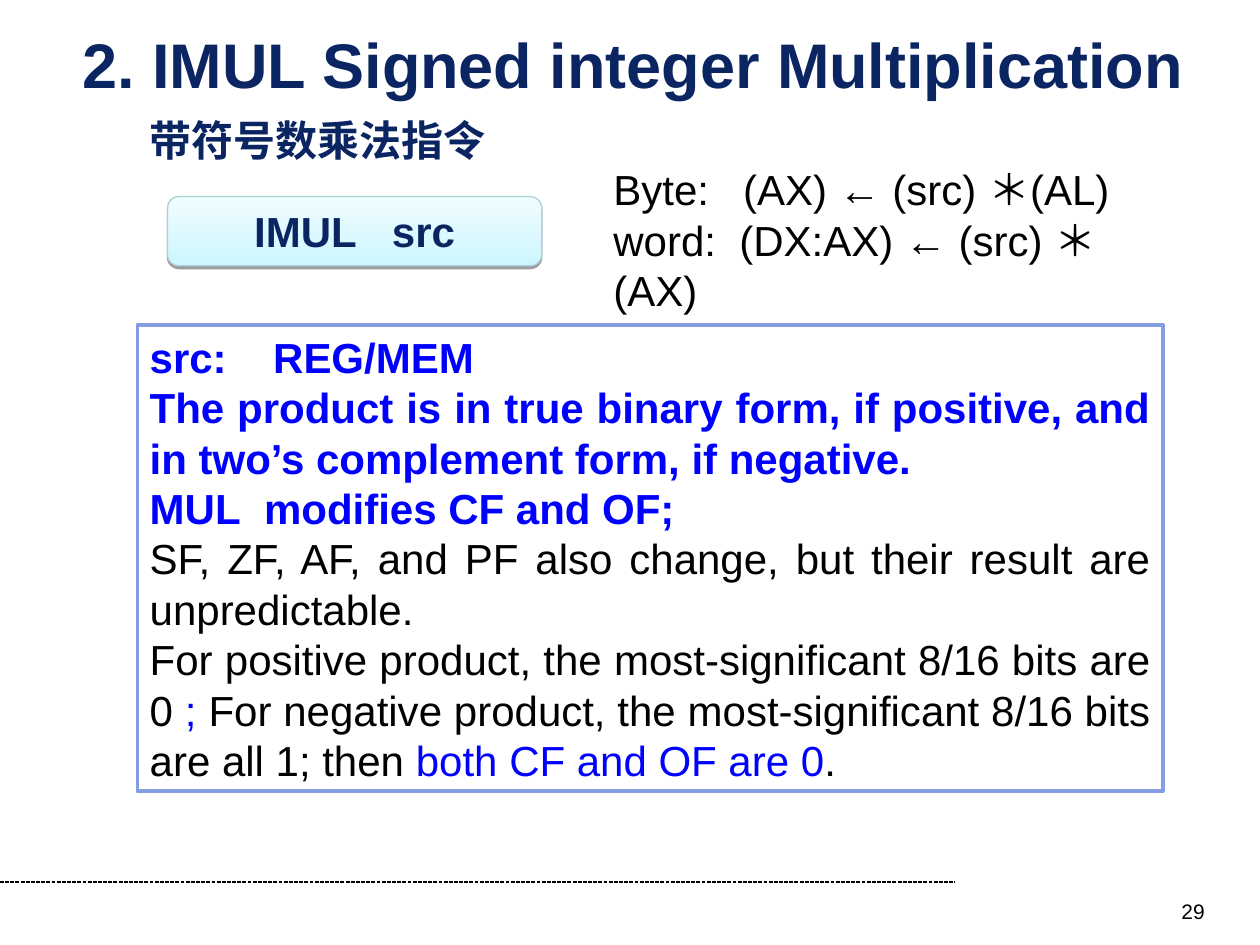
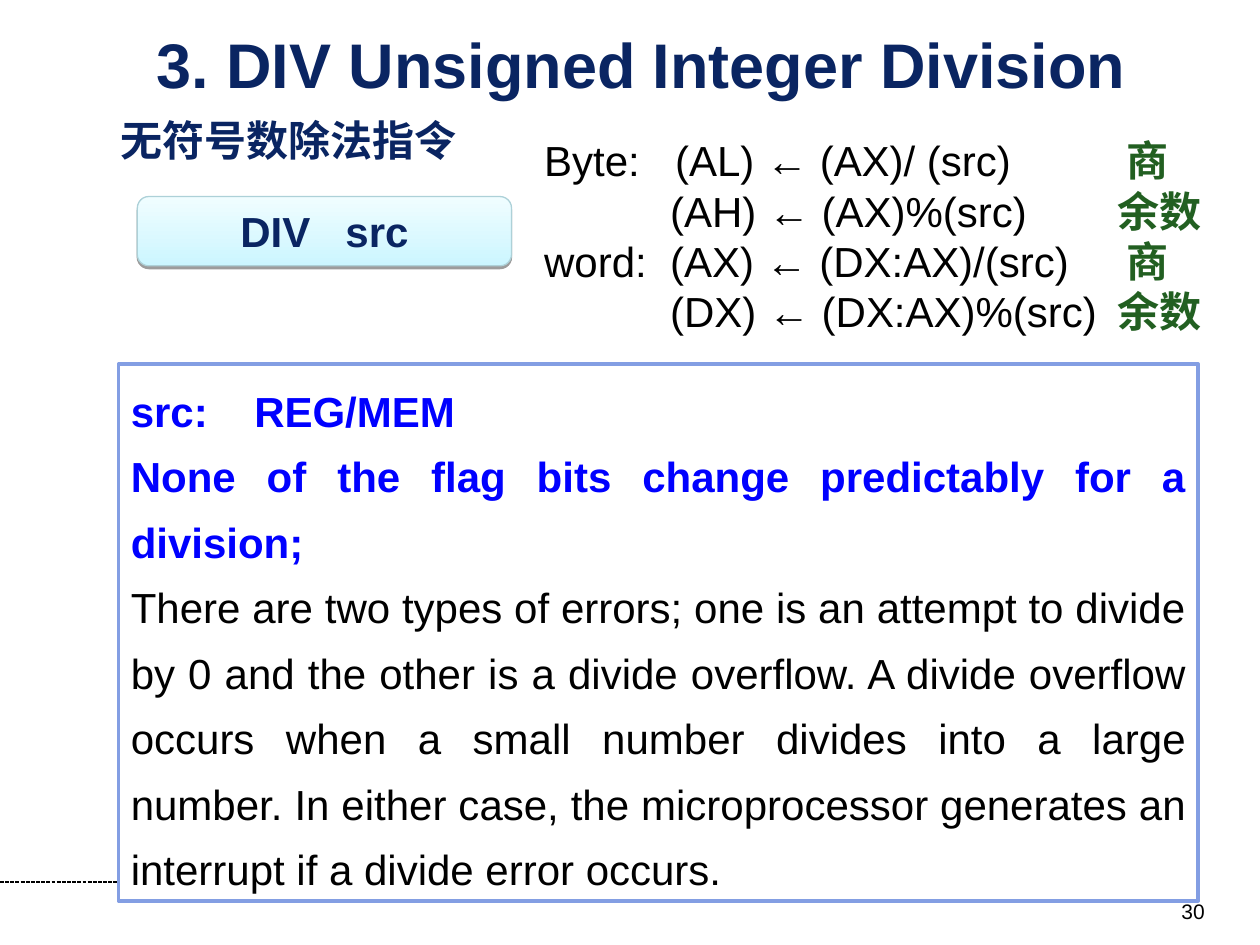
"""Build two lecture slides on the IMUL and DIV instructions."""
from dataclasses import dataclass
from typing import NamedTuple

import lxml.etree
import pptx
import pptx.dml.color
import pptx.enum.dml
import pptx.enum.shapes
import pptx.enum.text
import pptx.oxml.ns
import pptx.util

COLOURS = {
    "navy": "0A2562", "black": "000000", "blue": "0000FF", "green": "225F21",
    "white": "FFFFFF", "frame": "839EE3", "button_low": "CCF6FF",
    "button_high": "F0FDFF", "button_edge": "ADD1D8",
}
FONT = "Arial"
WIDTH, HEIGHT = pptx.util.Inches(10), pptx.util.Inches(7.5)
COLUMN, ROW = WIDTH / 100, HEIGHT / 75
BODY_SIZE = 24
SPACE_WIDTH = BODY_SIZE * 0.28
SHAPES = pptx.enum.shapes.MSO_SHAPE
ALIGN = pptx.enum.text.PP_ALIGN
ANCHOR = pptx.enum.text.MSO_ANCHOR


class Area(NamedTuple):
    """A place on the grid of 100 columns and 75 rows."""
    left: float
    top: float
    columns: float
    rows: float

    def lengths(self) -> list[int]:
        """Return left, top, width and height as slide lengths."""
        return [round(share * unit) for share, unit in zip(self, (COLUMN, ROW, COLUMN, ROW))]


class Span(NamedTuple):
    """A piece of text; extra_spaces widens it by that many spaces."""
    text: str
    colour: str = "black"
    bold: bool = False
    extra_spaces: int = 0


class Line(NamedTuple):
    """One paragraph with its tab stops in columns."""
    spans: list[Span]
    tabs: tuple[float, ...] = ()


@dataclass
class InstructionSlide:
    """The content and places of one instruction slide."""
    number: int
    title: str
    title_area: Area
    subtitle: str
    subtitle_area: Area
    mnemonic: str
    button_left: float
    formulas: list[Line]
    formula_area: Area
    rules: list[Line]
    rules_area: Area
    rules_spacing: float = 1.0


def strong(text: str, colour: str = "blue") -> Span:
    """Return a bold span."""
    return Span(text, colour, True)


def wide_space(colour: str, extra_spaces: int) -> Span:
    """Return one bold space stretched by letter spacing."""
    return Span(" ", colour, True, extra_spaces)


def colour_of(name: str) -> pptx.dml.color.RGBColor:
    """Return a named colour."""
    return pptx.dml.color.RGBColor.from_string(COLOURS[name])


def add_element(parent, tag: str, **attributes: str):
    """Append a drawing element with its attributes."""
    element = lxml.etree.SubElement(parent, pptx.oxml.ns.qn(tag))
    for name, value in attributes.items():
        element.set(name, value)
    return element


def write_text(box, lines: list[Line], *, size: float = BODY_SIZE, align=ALIGN.LEFT,
               anchor=ANCHOR.TOP, wrap: bool = True, spacing: float = 1.0) -> None:
    """Fill a box with formatted paragraphs."""
    frame = box.text_frame
    frame.word_wrap = wrap
    frame.vertical_anchor = anchor
    for index, line in enumerate(lines):
        para = frame.add_paragraph() if index else frame.paragraphs[0]
        para.alignment = align
        para.line_spacing = spacing
        if line.tabs:
            stops = add_element(para._p.get_or_add_pPr(), "a:tabLst")
            for stop in line.tabs:
                add_element(stops, "a:tab", pos=str(round(stop * COLUMN)), algn="l")
        for span in line.spans:
            run = para.add_run()
            run.text = span.text
            run.font.name = FONT
            run.font.size = pptx.util.Pt(size)
            run.font.bold = span.bold
            run.font.color.rgb = colour_of(span.colour)
            if span.extra_spaces:
                run._r.get_or_add_rPr().set(
                    "spc", str(round(span.extra_spaces * SPACE_WIDTH * 100)))


def add_text(page, area: Area, lines: list[Line], **text_format) -> None:
    """Add a text box on the grid."""
    write_text(page.shapes.add_textbox(*area.lengths()), lines, **text_format)


def add_footer(page, number: int) -> None:
    """Draw the footer rule and the slide number."""
    rule = page.shapes.add_connector(
        pptx.enum.shapes.MSO_CONNECTOR.STRAIGHT, 0, round(70 * ROW),
        round(75.8 * COLUMN), round(70 * ROW))
    rule.line.color.rgb = colour_of("black")
    rule.line.width = pptx.util.Pt(0.75)
    rule.line.dash_style = pptx.enum.dml.MSO_LINE.SQUARE_DOT
    add_element(rule._element.spPr, "a:effectLst")
    add_text(page, Area(73.3, 70.8, 23.3, 2.7), [Line([Span(str(number))])],
             size=12, align=ALIGN.RIGHT)


def add_button(page, left: float, mnemonic: str) -> None:
    """Draw the rounded instruction button with its shadow."""
    button = page.shapes.add_shape(SHAPES.ROUNDED_RECTANGLE,
                                   *Area(left, 15.6, 29.7, 5.5).lengths())
    button.fill.gradient()
    button.fill.gradient_angle = 90
    for position, name in enumerate(("button_low", "button_high")):
        stop = button.fill.gradient_stops[position]
        stop.color.rgb = colour_of(name)
        stop.position = position
    button.line.color.rgb = colour_of("button_edge")
    button.line.width = pptx.util.Pt(0.75)
    effects = add_element(button._element.spPr, "a:effectLst")
    shadow = add_element(effects, "a:outerShdw", blurRad="0",
                         dist=str(pptx.util.Pt(1.6)), dir="5400000", rotWithShape="0")
    shade = add_element(shadow, "a:srgbClr", val=COLOURS["black"])
    add_element(shade, "a:alpha", val="38000")
    spans = [strong(mnemonic, "navy"), wide_space("navy", 2), strong("src", "navy")]
    write_text(button, [Line(spans)], align=ALIGN.CENTER, anchor=ANCHOR.MIDDLE, wrap=False)


def add_rules_frame(page, content: InstructionSlide) -> None:
    """Draw the framed explanation."""
    box = page.shapes.add_shape(SHAPES.RECTANGLE, *content.rules_area.lengths())
    box.shadow.inherit = False
    box.fill.solid()
    box.fill.fore_color.rgb = colour_of("white")
    box.line.color.rgb = colour_of("frame")
    box.line.width = pptx.util.Pt(2)
    write_text(box, content.rules, align=ALIGN.JUSTIFY, spacing=content.rules_spacing)


def add_instruction_slide(deck, content: InstructionSlide) -> None:
    """Add one complete instruction slide."""
    page = deck.slides.add_slide(deck.slide_layouts[6])
    add_footer(page, content.number)
    add_text(page, content.title_area, [Line([strong(content.title, "navy")])],
             size=36, align=ALIGN.CENTER, anchor=ANCHOR.MIDDLE)
    add_text(page, content.subtitle_area, [Line([strong(content.subtitle, "navy")])])
    add_button(page, content.button_left, content.mnemonic)
    add_text(page, content.formula_area, content.formulas)
    add_rules_frame(page, content)


def division_line(formula: str, result: str, start: float, end: float) -> Line:
    """Return a formula followed by the name of its result."""
    return Line([Span(formula + "\t"), strong(result, "green")], (start, end))


OPERAND = Line([strong("src:\tREG/MEM")], (9.8,))
SLIDES = [
    InstructionSlide(
        number=29,
        title="2. IMUL Signed integer Multiplication",
        title_area=Area(5, 2.5, 90.5, 5),
        subtitle="带符号数乘法指令",
        subtitle_area=Area(10.9, 8.6, 77.3, 5),
        mnemonic="IMUL",
        button_left=13.3,
        formulas=[
            Line([Span("Byte:\t(AX) ← (src) ＊(AL)")], (10.3,)),
            Line([Span("word:\t(DX:AX) ← (src) ＊(AX)")], (10,)),
        ],
        formula_area=Area(47.7, 12.5, 46.7, 13),
        rules=[
            OPERAND,
            Line([strong("The product is in true binary form, if positive, and "
                         "in two’s complement form, if negative.")]),
            Line([strong("MUL"), wide_space("blue", 1), strong("modifies CF and OF;")]),
            Line([Span("SF, ZF, AF, and PF also change, but their result are unpredictable.")]),
            Line([
                Span("For positive product, the most-significant 8/16 bits are 0 "),
                Span("; ", "blue"),
                Span("For negative product, the most-significant 8/16 bits are all 1; then "),
                Span("both CF and OF are 0", "blue"),
                Span("."),
            ]),
        ],
        rules_area=Area(10.9, 25.8, 81.4, 37),
    ),
    InstructionSlide(
        number=30,
        title="3. DIV Unsigned Integer Division",
        title_area=Area(3.4, 2.5, 95, 5),
        subtitle="无符号数除法指令",
        subtitle_area=Area(8.6, 8.6, 32, 5),
        mnemonic="DIV",
        button_left=10.9,
        formulas=[
            division_line("Byte:\t(AL) ← (AX)/ (src)", "商", 10.4, 46.2),
            division_line("\t(AH) ← (AX)%(src)", "余数", 10, 45.5),
            division_line("word:\t(AX) ← (DX:AX)/(src)", "商", 10, 46.2),
            division_line("\t(DX) ← (DX:AX)%(src)", "余数", 10, 45.5),
        ],
        formula_area=Area(42.2, 10.2, 55.5, 17),
        rules=[
            OPERAND,
            Line([strong("None of the flag bits change predictably for a division;")]),
            Line([Span("There are two types of errors; one is an attempt to divide by 0 and "
                       "the other is a divide overflow. A divide overflow occurs when a small "
                       "number divides into a large number. In either case, the "
                       "microprocessor generates an interrupt if a divide error occurs.")]),
        ],
        rules_area=Area(9.4, 28.9, 85.7, 42.6),
        rules_spacing=1.3,
    ),
]


def main() -> None:
    """Build and save the deck."""
    deck = pptx.Presentation()
    deck.slide_width, deck.slide_height = WIDTH, HEIGHT
    for content in SLIDES:
        add_instruction_slide(deck, content)
    deck.save("out.pptx")


if __name__ == "__main__":
    main()
